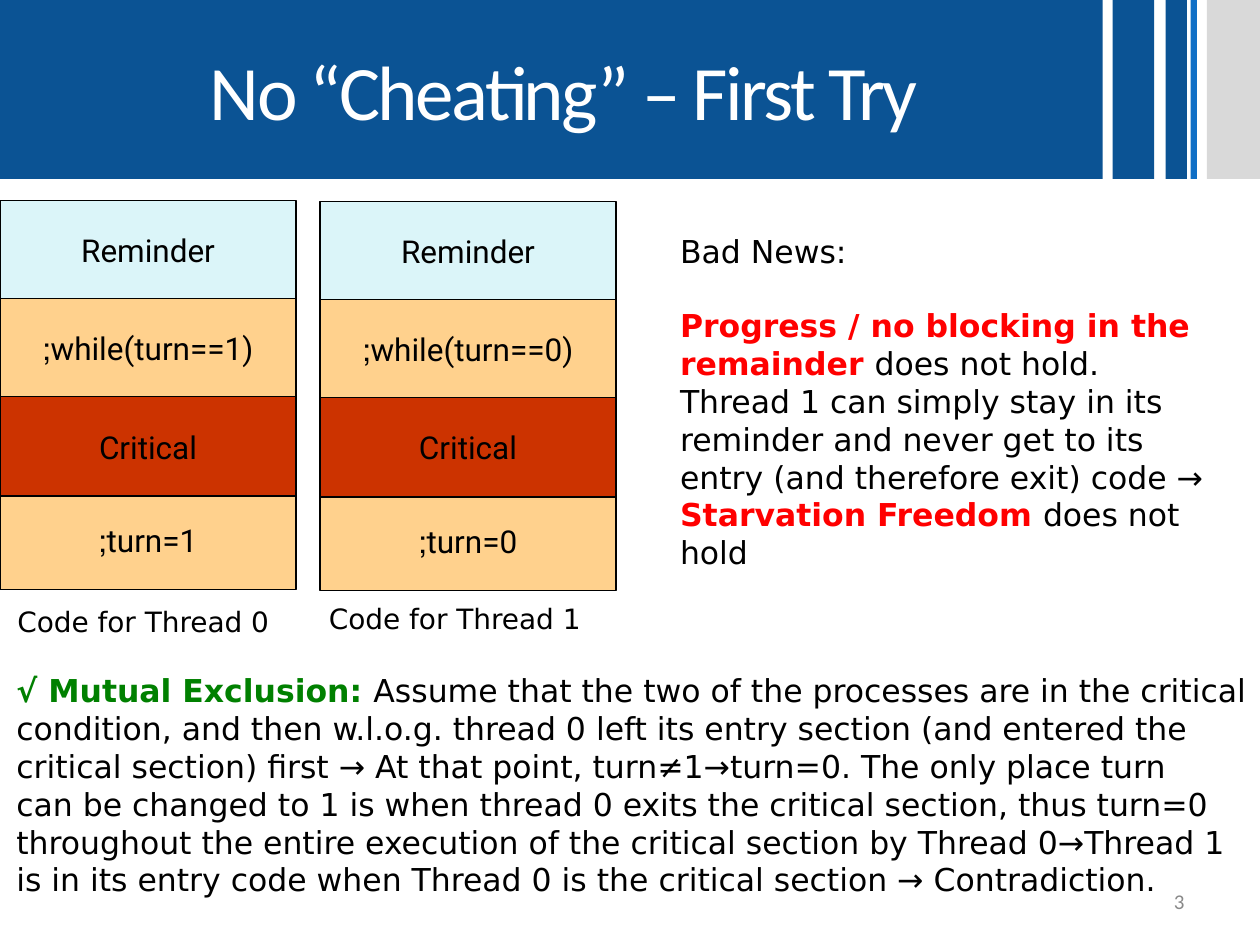
from pptx import Presentation
from pptx.dml.color import RGBColor
from pptx.enum.shapes import MSO_SHAPE
from pptx.enum.text import MSO_ANCHOR, MSO_AUTO_SIZE, PP_ALIGN
from pptx.util import Cm, Pt

RECTANGLE = MSO_SHAPE.RECTANGLE
MIDDLE, TOP = MSO_ANCHOR.MIDDLE, MSO_ANCHOR.TOP
LEFT, CENTER, RIGHT = PP_ALIGN.LEFT, PP_ALIGN.CENTER, PP_ALIGN.RIGHT
FIT_SHAPE = MSO_AUTO_SIZE.SHAPE_TO_FIT_TEXT

BLUE, BLACK, RED, GREEN = "0B5394", "000000", "FF0000", "008000"
PALE, ORANGE, CRITICAL = "DBF5F9", "FFD18D", "CC3300"

TITLE = "No “Cheating” – First Try"
BANNER_HEIGHT = 3.61
BANNER_STRIPES = [
    (22.43, 0.84, BLUE),
    (23.5, 0.43, BLUE),
    (24.0, 0.13, "0F6FC6"),
    (24.33, 1.07, "D9D9D9"),
]

CELL_WIDTH, CELL_HEIGHT = 5.97, 2.0
SECTIONS = [
    ("Reminder", 4.04, PALE),
    ("turn={thread_turn};", 9.88, ORANGE),
    ("while(turn=={blocked_turn});", 6.02, ORANGE),
    ("Critical", 8.0, CRITICAL),
]
THREADS = [
    {"left": 0, "shift": 0, "turn": 1, "caption": (0.1, 12.07)},
    {"left": 6.45, "shift": 0.02, "turn": 0, "caption": (6.38, 12.01)},
]

BAD_NEWS = [
    [("Bad News:", BLACK, False)],
    [
        ("Progress / no blocking in the remainder ", RED, True),
        ("does not hold. Thread 1 can simply stay in its reminder and never get to its "
         "entry (and therefore exit) code → ", BLACK, False),
        ("Starvation Freedom ", RED, True),
        ("does not hold", BLACK, False),
    ],
]
MUTUAL_EXCLUSION = [
    [
        ("√ Mutual Exclusion: ", GREEN, True),
        ("Assume that the two of the processes are in the critical\n"
         "condition, and then w.l.o.g. thread 0 left its entry section "
         "(and entered the", BLACK, False),
    ],
    [
        ("critical section) first → At that point, turn≠1→turn=0. The only place turn \n"
         "can be changed to 1 is when thread 0 exits the critical section, thus turn=0\n"
         "throughout the entire execution of the critical section by Thread 0→Thread 1 \n"
         "is in its entry code when Thread 0 is the critical section → Contradiction.",
         BLACK, False),
    ],
]


def color(value):
    return RGBColor.from_string(value)


def add_rectangle(slide, left, top, width, height, fill, line=None):
    shape = slide.shapes.add_shape(RECTANGLE, Cm(left), Cm(top), Cm(width), Cm(height))
    shape.shadow.inherit = False
    shape.fill.solid()
    shape.fill.fore_color.rgb = color(fill)
    if line:
        shape.line.color.rgb = color(line)
        shape.line.width = Pt(0.75)
    else:
        shape.line.fill.background()
    return shape


def add_text_box(slide, left, top, width, height):
    return slide.shapes.add_textbox(Cm(left), Cm(top), Cm(width), Cm(height))


def write(shape, paragraphs, size=18, font="DejaVu Sans", fill=BLACK, align=LEFT,
          anchor=TOP, wrap=True, grow=False, rtl=False, spacing=None, gap=0):
    if isinstance(paragraphs, str):
        paragraphs = [[(paragraphs, fill, False)]]
    frame = shape.text_frame
    frame.word_wrap = wrap
    frame.vertical_anchor = anchor
    if grow:
        frame.auto_size = FIT_SHAPE
    for index, runs in enumerate(paragraphs):
        paragraph = frame.add_paragraph() if index else frame.paragraphs[0]
        paragraph.alignment = align
        if index:
            paragraph.space_before = Pt(gap)
        if rtl:
            paragraph._p.get_or_add_pPr().set("rtl", "1")
        for text, run_fill, bold in runs:
            for number, line in enumerate(text.split("\n")):
                if number:
                    paragraph.add_line_break()
                run = paragraph.add_run()
                run.text = line
                run.font.size = Pt(size)
                run.font.name = font
                run.font.bold = bold
                run.font.color.rgb = color(run_fill)
                if spacing:
                    run.font._element.set("spc", str(round(spacing * 100)))


def add_banner(slide):
    for left, width, fill in BANNER_STRIPES:
        add_rectangle(slide, left, 0, width, BANNER_HEIGHT, fill)
    title = add_rectangle(slide, 0, 0, 22.23, BANNER_HEIGHT, BLUE)
    title.text_frame.margin_left = Cm(0.76)
    write(title, TITLE, size=44, font="Calibri", fill="FFFFFF", align=CENTER,
          anchor=MIDDLE, spacing=-1.5)


def add_thread(slide, number, thread):
    for label, top, fill in SECTIONS:
        cell = add_rectangle(slide, thread["left"], top + thread["shift"],
                             CELL_WIDTH, CELL_HEIGHT, fill, BLACK)
        text = label.format(thread_turn=thread["turn"], blocked_turn=thread["turn"])
        write(cell, text, font="Roboto", align=CENTER, anchor=MIDDLE, wrap=False, rtl=True)
    caption = add_text_box(slide, *thread["caption"], 5.69, 0.94)
    write(caption, f"Code for Thread {number}", size=16, wrap=False, grow=True)


def main():
    presentation = Presentation()
    presentation.slide_width, presentation.slide_height = Cm(25.4), Cm(19.05)
    slide = presentation.slides.add_slide(presentation.slide_layouts[6])
    add_banner(slide)
    write(add_text_box(slide, 18.21, 17.65, 5.92, 1.02), "3", size=12, font="Calibri",
          fill="898989", align=RIGHT, anchor=MIDDLE)
    for number, thread in enumerate(THREADS):
        add_thread(slide, number, thread)
    write(add_text_box(slide, 0.08, 13.41, 25.73, 5.64), MUTUAL_EXCLUSION,
          wrap=False, grow=True)
    write(add_text_box(slide, 13.46, 4.55, 11.13, 7.19), BAD_NEWS, grow=True, gap=21)
    presentation.save("out.pptx")


if __name__ == "__main__":
    main()
